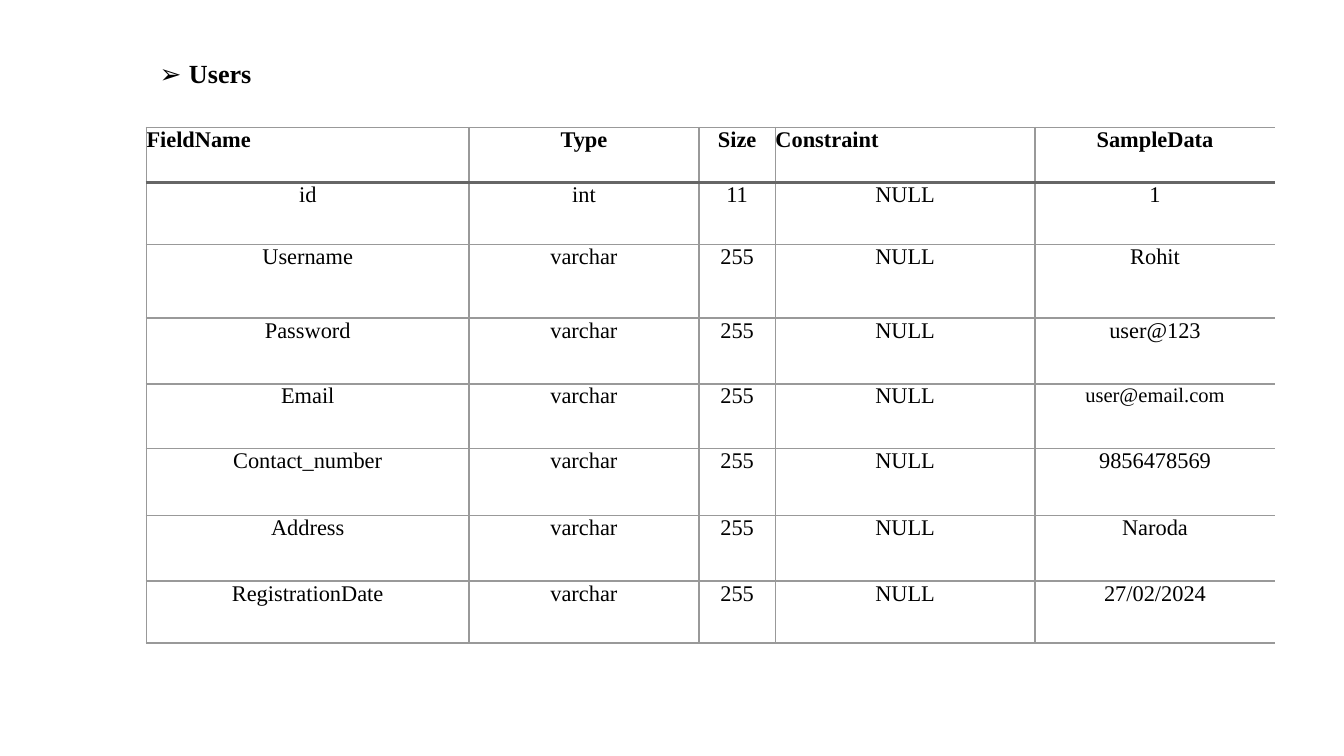
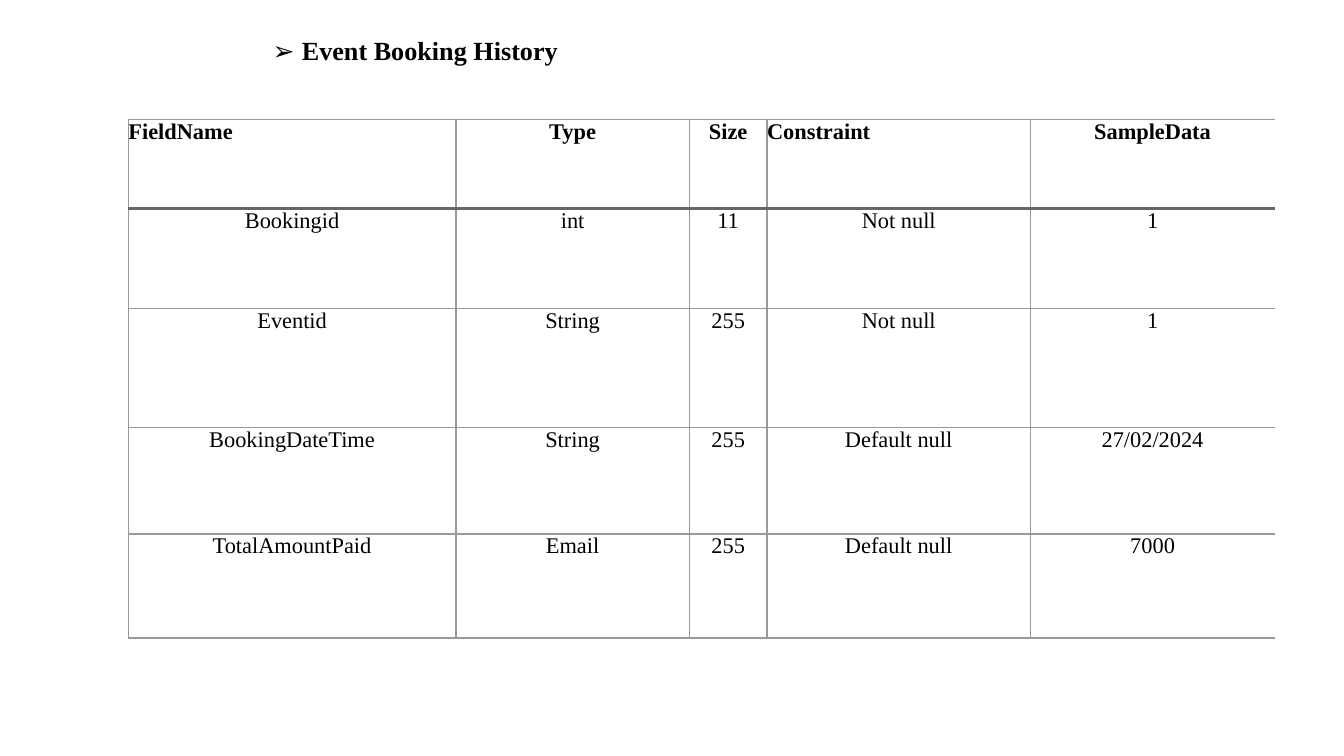
from dataclasses import dataclass

from lxml import etree
from pptx import Presentation
from pptx.dml.color import RGBColor
from pptx.enum.text import MSO_ANCHOR, PP_ALIGN
from pptx.oxml.ns import qn
from pptx.util import Pt

LEFT, CENTER = PP_ALIGN.LEFT, PP_ALIGN.CENTER
TOP = MSO_ANCHOR.TOP

# Content
HEADINGS = ["FieldName", "Type", "Size", "Constraint", "SampleData"]
LEFT_HEADINGS = {"FieldName", "Constraint"}
SMALL_ENTRIES = {"user@email.com"}

# Boxes are left, top, width, height in points
SECTIONS = [
    {
        "title": "Users",
        "title_box": (78.5, 27.4, 481.7, 41),
        "table_box": (78.5, 68.4, 604.8, 276.2),
        "fields": [
            ("id", "int", "11", "NULL", "1"),
            ("Username", "varchar", "255", "NULL", "Rohit"),
            ("Password", "varchar", "255", "NULL", "user@123"),
            ("Email", "varchar", "255", "NULL", "user@email.com"),
            ("Contact_number", "varchar", "255", "NULL", "9856478569"),
            ("Address", "varchar", "255", "NULL", "Naroda"),
            ("RegistrationDate", "varchar", "255", "NULL", "27/02/2024"),
        ],
    },
    {
        "title": "Event Booking History",
        "title_box": (139, 15.1, 400.3, 41),
        "table_box": (68.8, 64, 614.2, 278),
        "fields": [
            ("Bookingid", "int", "11", "Not null", "1"),
            ("Eventid", "String", "255", "Not null", "1"),
            ("BookingDateTime", "String", "255", "Default null", "27/02/2024"),
            ("TotalAmountPaid", "Email", "255", "Default null", "7000"),
        ],
    },
]

# Relative sizes shared by both tables
COLUMN_WEIGHTS = [240, 171, 57, 193, 179]
ROW_WEIGHTS = [41, 46, 55, 49, 48, 50, 49, 46]


@dataclass(frozen=True)
class Theme:
    text: str = "000000"
    grid: tuple = ("999999", 1)
    header_rule: tuple = ("666666", 1.5)
    body_font: str = "Times New Roman"
    marker_font: str = "Arial"
    title_size: float = 14
    cell_size: float = 12
    small_size: float = 11
    title_indent: float = 18


THEME = Theme()


def add_run(paragraph, text, font_name, size, bold=False):
    run = paragraph.add_run()
    run.text = text
    run.font.name = font_name
    run.font.size = Pt(size)
    run.font.bold = bold
    run.font.color.rgb = RGBColor.from_string(THEME.text)


def split(total, weights):
    return [Pt(round(total * weight / sum(weights), 2)) for weight in weights]


def set_borders(cell, borders):
    """Draw each side as (colour, width); None hides the side."""
    properties = cell._tc.get_or_add_tcPr()
    for side in "LRTB":
        line = etree.SubElement(properties, qn(f"a:ln{side}"))
        if borders[side] is None:
            etree.SubElement(line, qn("a:noFill"))
            continue
        colour, width = borders[side]
        line.set("w", str(Pt(width)))
        fill = etree.SubElement(line, qn("a:solidFill"))
        etree.SubElement(fill, qn("a:srgbClr"), val=colour)


def add_title(slide, title, box):
    frame = slide.shapes.add_textbox(*map(Pt, box)).text_frame
    frame.word_wrap = True
    paragraph = frame.paragraphs[0]
    indent = Pt(THEME.title_indent)
    properties = paragraph._p.get_or_add_pPr()
    properties.set("marL", str(indent))
    properties.set("indent", str(-indent))
    add_run(paragraph, "➢ ", THEME.marker_font, THEME.title_size)
    add_run(paragraph, title, THEME.body_font, THEME.title_size, bold=True)


def fill_cell(cell, entry, is_heading, borders):
    cell.margin_left = cell.margin_right = cell.margin_top = cell.margin_bottom = 0
    cell.vertical_anchor = TOP
    set_borders(cell, borders)
    cell.fill.background()
    paragraph = cell.text_frame.paragraphs[0]
    paragraph.alignment = LEFT if entry in LEFT_HEADINGS else CENTER
    size = THEME.small_size if entry in SMALL_ENTRIES else THEME.cell_size
    add_run(paragraph, entry, THEME.body_font, size, bold=is_heading)


def add_field_table(slide, fields, box):
    entries = [HEADINGS, *fields]
    table = slide.shapes.add_table(len(entries), len(HEADINGS), *map(Pt, box)).table
    table.first_row = table.horz_banding = False
    for column, width in zip(table.columns, split(box[2], COLUMN_WEIGHTS)):
        column.width = width
    for row, height in zip(table.rows, split(box[3], ROW_WEIGHTS[:len(entries)])):
        row.height = height

    # The right edge stays open; a heavier rule sits under the headings
    last_column = len(HEADINGS) - 1
    for r, record in enumerate(entries):
        for c, entry in enumerate(record):
            borders = {
                "L": THEME.grid,
                "R": None if c == last_column else THEME.grid,
                "T": THEME.header_rule if r == 1 else THEME.grid,
                "B": THEME.header_rule if r == 0 else THEME.grid,
            }
            fill_cell(table.cell(r, c), entry, r == 0, borders)


def main():
    deck = Presentation()
    deck.slide_width, deck.slide_height = Pt(720), Pt(405)
    blank = deck.slide_layouts[6]
    for section in SECTIONS:
        slide = deck.slides.add_slide(blank)
        add_title(slide, section["title"], section["title_box"])
        add_field_table(slide, section["fields"], section["table_box"])
    deck.save("out.pptx")


if __name__ == "__main__":
    main()
